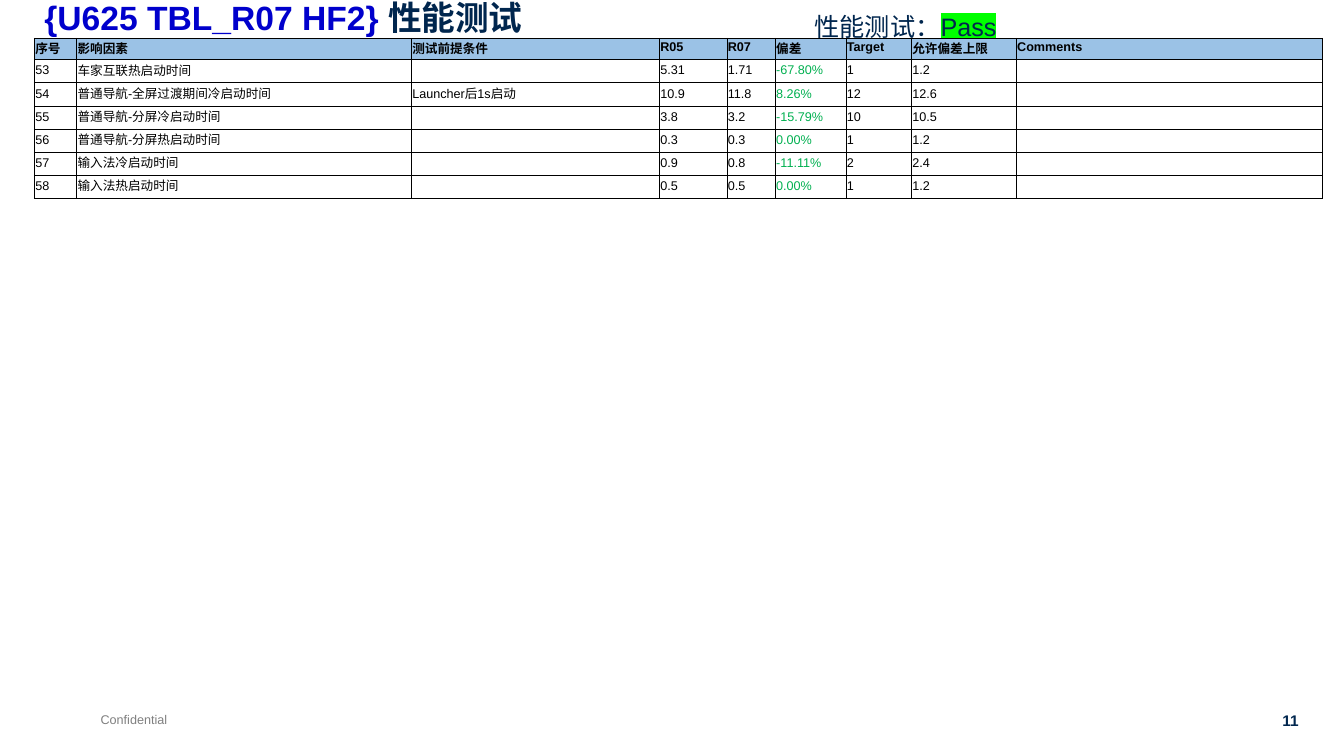
from lxml.etree import SubElement
from pptx import Presentation
from pptx.dml.color import RGBColor
from pptx.enum.text import MSO_ANCHOR, MSO_AUTO_SIZE, PP_ALIGN
from pptx.oxml import parse_xml
from pptx.oxml.ns import nsdecls, qn
from pptx.util import Pt

PX = 9144  # 100 px to the inch
NAVY, BLUE, GREEN, BLACK = "00264E", "0000CC", "00B050", "000000"
HEADER_FILL = "9BC2E6"
COLUMN_WIDTHS = [42, 332, 246, 67, 48, 70, 65, 104, 304]
DEVIATION_COLUMN = 5
ROWS = [
    ["序号", "影响因素", "测试前提条件", "R05", "R07", "偏差", "Target", "允许偏差上限", "Comments"],
    ["53", "车家互联热启动时间", "", "5.31", "1.71", "-67.80%", "1", "1.2", ""],
    ["54", "普通导航-全屏过渡期间冷启动时间", "Launcher后1s启动", "10.9", "11.8", "8.26%", "12", "12.6", ""],
    ["55", "普通导航-分屏冷启动时间", "", "3.8", "3.2", "-15.79%", "10", "10.5", ""],
    ["56", "普通导航-分屏热启动时间", "", "0.3", "0.3", "0.00%", "1", "1.2", ""],
    ["57", "输入法冷启动时间", "", "0.9", "0.8", "-11.11%", "2", "2.4", ""],
    ["58", "输入法热启动时间", "", "0.5", "0.5", "0.00%", "1", "1.2", ""],
]


def px(length):
    return int(length * PX)


def color(value):
    return RGBColor.from_string(value)


def add_text(para, text, size, fill=NAVY, bold=False, highlight=None):
    span = para.add_run()
    span.text = text
    span.font.size = Pt(size)
    span.font.bold = bold
    span.font.color.rgb = color(fill)
    if highlight:
        mark = parse_xml(f'<a:highlight {nsdecls("a")}><a:srgbClr val="{highlight}"/></a:highlight>')
        span.font._element.find(qn("a:solidFill")).addnext(mark)
    span.font.name = "Arial"


def add_box(page, left, top, width, height, wrap=False, align=PP_ALIGN.LEFT):
    """Add an empty text box and return its first paragraph."""
    box = page.shapes.add_textbox(px(left), px(top), px(width), px(height))
    box.text_frame.word_wrap = wrap
    box.text_frame.auto_size = MSO_AUTO_SIZE.SHAPE_TO_FIT_TEXT
    para = box.text_frame.paragraphs[0]
    para.alignment = align
    return para


def add_heading(page, left, top, width, height):
    title = page.shapes.title
    title.left, title.top, title.width, title.height = map(px, (left, top, width, height))
    frame = title.text_frame
    frame.auto_size = MSO_AUTO_SIZE.NONE
    frame.vertical_anchor = MSO_ANCHOR.MIDDLE
    para = frame.paragraphs[0]
    para.alignment = PP_ALIGN.LEFT
    para.line_spacing = 0.9
    add_text(para, "{U625 TBL_R07 HF2} ", 24, fill=BLUE, bold=True)
    add_text(para, "性能测试", 24, bold=True)

    verdict = add_box(page, left + 764, top + 6, 432, 71, wrap=True)
    add_text(verdict, "性能测试：", 18)
    add_text(verdict, "Pass", 18, highlight="00FF00")


def add_borders(cell):
    properties = cell._tc.get_or_add_tcPr()
    for position, side in enumerate(("lnL", "lnR", "lnT", "lnB")):
        properties.insert(position, parse_xml(
            f'<a:{side} {nsdecls("a")} w="6350"><a:solidFill><a:srgbClr val="{BLACK}"/>'
            f'</a:solidFill></a:{side}>'))


def fill_cell(cell, text, header, text_fill):
    cell.margin_left = cell.margin_right = cell.margin_top = px(1)
    cell.margin_bottom = px(5)
    cell.vertical_anchor = MSO_ANCHOR.MIDDLE if header else MSO_ANCHOR.BOTTOM
    if header:
        cell.fill.solid()
        cell.fill.fore_color.rgb = color(HEADER_FILL)
    else:
        cell.fill.background()
    add_borders(cell)
    para = cell.text_frame.paragraphs[0]
    if text:
        add_text(para, text, 9, fill=text_fill, bold=header)
    else:
        SubElement(para._p, qn("a:endParaRPr")).set("sz", "900")


def add_results(page, left, top, width, height):
    frame = page.shapes.add_table(len(ROWS), len(COLUMN_WIDTHS),
                                  px(left), px(top), px(width), px(height))
    table = frame.table
    table.horz_banding = False
    for column, column_width in zip(table.columns, COLUMN_WIDTHS):
        column.width = px(column_width)
    for row_index, values in enumerate(ROWS):
        header = row_index == 0
        table.rows[row_index].height = px(21 if header else 23)
        for column_index, value in enumerate(values):
            deviation = column_index == DEVIATION_COLUMN and not header
            fill_cell(table.cell(row_index, column_index), value, header,
                      GREEN if deviation else BLACK)


def add_footer(page, left, top, width):
    add_text(add_box(page, left, top, 87, 25), "Confidential", 9, fill="808080")
    number = add_box(page, left + width - 39, top, 39, 29, align=PP_ALIGN.RIGHT)
    add_text(number, "11", 11, bold=True)


def main():
    deck = Presentation()
    deck.slide_width, deck.slide_height = px(1333), px(750)
    page = deck.slides.add_slide(deck.slide_layouts[5])
    add_footer(page, 90, 701, 1208)
    add_heading(page, 34, 0, 1185, 38)
    add_results(page, 34, 38, sum(COLUMN_WIDTHS), 160)
    deck.save("out.pptx")


if __name__ == "__main__":
    main()
